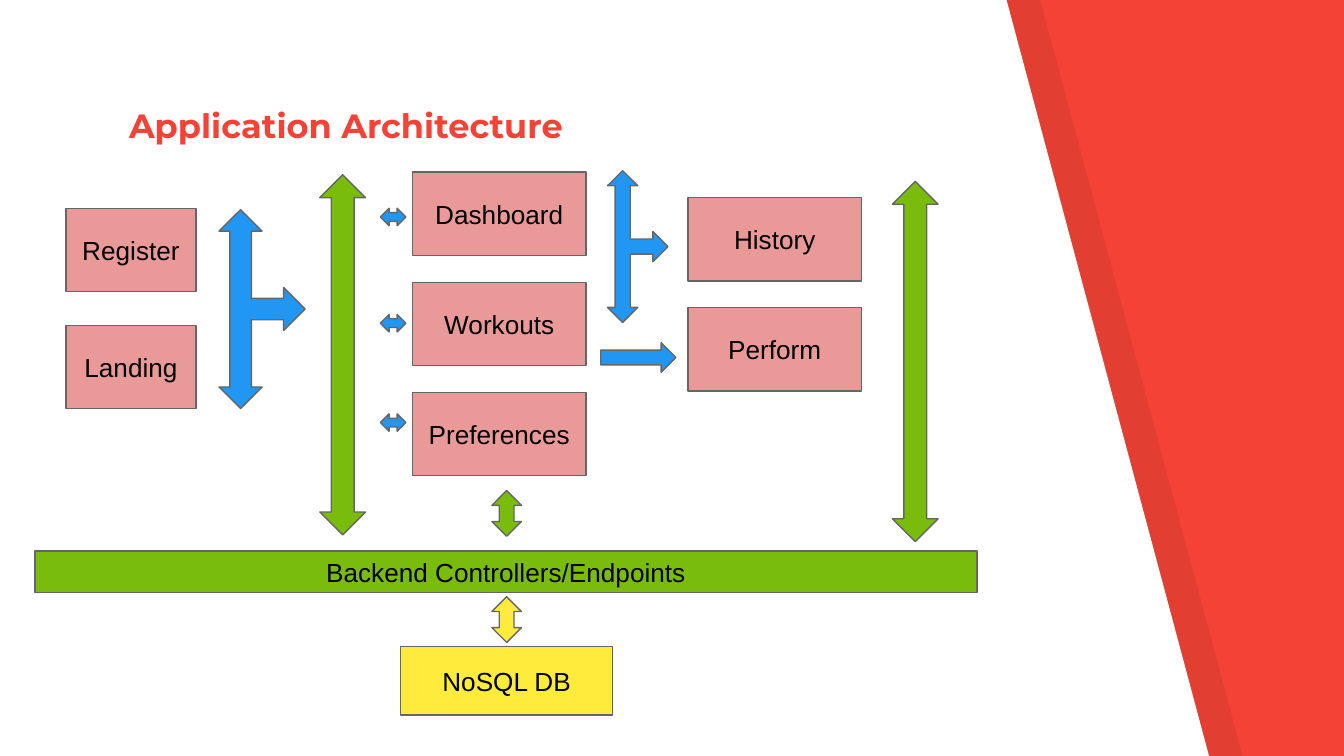
from lxml import etree
from pptx import Presentation
from pptx import util as u
from pptx.dml.color import RGBColor
from pptx.enum import shapes, text
from pptx.oxml.ns import qn

SCALE = 9144  # EMU in one px, 100 px to the inch
WIDTH, HEIGHT = 1000, 562.5


class Theme:
    red, white, black = "F44336", "FFFFFF", "000000"
    pink, green, blue, yellow = "EA9999", "7ABC0C", "2196F3", "FFEB3B"
    outline, outline_width = "666666", 0.75
    title_format = {"name": "Montserrat", "size": u.Pt(18), "bold": True}
    label_format = {"name": "Arial", "size": u.Pt(14)}


TITLE = ("Application Architecture", (86, 73, 525, 45))

# Panel corners, colour, opacity in percent
PANELS = [
    ([(25, -1), (25, 564), (925, 564), (774, 0)], Theme.black, 7),
    ([(0, -1), (0, 564), (900, 564), (749, 0)], Theme.white, 100),
]

# Columns of pages: left, top, box width, step down, labels
PAGE_HEIGHT = 62
PAGE_COLUMNS = [
    (49, 155, 97, 87, ["Register", "Landing"]),
    (307, 128, 129, 82, ["Dashboard", "Workouts", "Preferences"]),
    (512, 147, 129, 82, ["History", "Perform"]),
]

SERVER_BOXES = [
    ("Backend Controllers/Endpoints", (26, 410, 701, 31), Theme.green),
    ("NoSQL DB", (298, 481, 158, 51), Theme.yellow),
]

# Arrow kind, colour, size, rotation, adjustments, then each (left, top)
KIND = shapes.MSO_SHAPE
HALF, QUARTER = [0.5] * 2, [0.25] * 3
ARROWS = [
    (KIND.UP_DOWN_ARROW, Theme.green, (34, 268), 0, HALF, [(238, 130), (664, 135)]),
    (KIND.LEFT_RIGHT_ARROW, Theme.blue, (19, 13), 0, HALF,
     [(283, 155), (283, 234), (283, 308)]),
    (KIND.LEFT_RIGHT_UP_ARROW, Theme.blue, (148, 64), 90, QUARTER, [(121, 198)]),
    (KIND.LEFT_RIGHT_UP_ARROW, Theme.blue, (113, 45), 90, QUARTER, [(418, 161)]),
    (KIND.RIGHT_ARROW, Theme.blue, (56, 22), 0, HALF, [(447, 255)]),
    (KIND.LEFT_RIGHT_ARROW, Theme.yellow, (34, 22), 270, HALF, [(360, 450)]),
    (KIND.LEFT_RIGHT_ARROW, Theme.green, (34, 22), 270, HALF, [(360, 371)]),
]


def px(length):
    return u.Emu(round(length * SCALE))


def paint(fill, color):
    fill.solid()
    fill.fore_color.rgb = RGBColor.from_string(color)


def write(shape, words, color, font_format, alignment, anchor):
    frame = shape.text_frame
    frame.text = words
    frame_format = {"word_wrap": True, "vertical_anchor": anchor,
                    "auto_size": text.MSO_AUTO_SIZE.NONE}
    for side in ("left", "right", "top", "bottom"):
        frame_format[f"margin_{side}"] = px(10)
    for name, value in frame_format.items():
        setattr(frame, name, value)
    paragraph = frame.paragraphs[0]
    paragraph.alignment = alignment
    font = paragraph.runs[0].font
    for name, value in font_format.items():
        setattr(font, name, value)
    font.color.rgb = RGBColor.from_string(color)


def add_panel(slide, corners, color, opacity):
    builder = slide.shapes.build_freeform(*corners[0], scale=SCALE)
    builder.add_line_segments(corners[1:], close=True)
    panel = builder.convert_to_shape()
    panel.shadow.inherit = False
    paint(panel.fill, color)
    panel.line.fill.background()
    if opacity < 100:
        tint = panel._element.spPr.find(qn("a:solidFill"))[0]
        etree.SubElement(tint, qn("a:alpha"), val=str(opacity * 1000))
    return panel


def add_outlined(slide, kind, box, color):
    shape = slide.shapes.add_shape(kind, *map(px, box))
    shape.shadow.inherit = False
    paint(shape.fill, color)
    paint(shape.line.fill, Theme.outline)
    shape.line.width = u.Pt(Theme.outline_width)
    return shape


def add_box(slide, label, box, color):
    shape = add_outlined(slide, KIND.RECTANGLE, box, color)
    write(shape, label, Theme.black, Theme.label_format,
          text.PP_ALIGN.CENTER, text.MSO_ANCHOR.MIDDLE)


def main():
    presentation = Presentation()
    presentation.slide_width, presentation.slide_height = px(WIDTH), px(HEIGHT)
    slide = presentation.slides.add_slide(presentation.slide_layouts[5])
    paint(slide.background.fill, Theme.red)

    title = slide.shapes.title
    words, box = TITLE
    for name, value in zip(("left", "top", "width", "height"), box):
        setattr(title, name, px(value))
    write(title, words, Theme.red, Theme.title_format,
          text.PP_ALIGN.LEFT, text.MSO_ANCHOR.BOTTOM)

    for corners, color, opacity in PANELS:
        panel = add_panel(slide, corners, color, opacity)
        title._element.addprevious(panel._element)  # keep the title in front

    for left, top, width, step, labels in PAGE_COLUMNS:
        for row, label in enumerate(labels):
            add_box(slide, label, (left, top + row * step, width, PAGE_HEIGHT), Theme.pink)
    for label, box, color in SERVER_BOXES:
        add_box(slide, label, box, color)

    for kind, color, size, rotation, adjustments, places in ARROWS:
        for place in places:
            arrow = add_outlined(slide, kind, place + size, color)
            arrow.rotation = rotation
            for index, value in enumerate(adjustments):
                arrow.adjustments[index] = value

    presentation.save("out.pptx")


if __name__ == "__main__":
    main()
